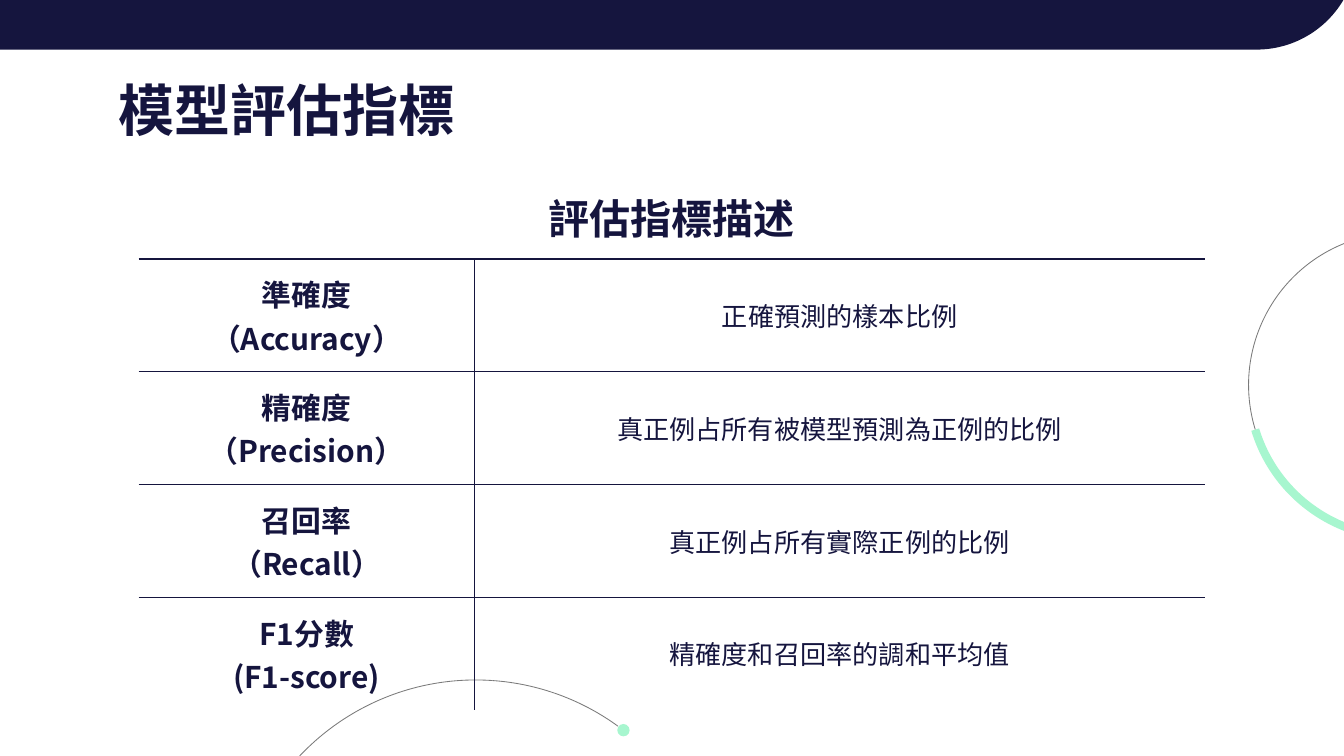
from math import cos, radians, sin, tan

from pptx import Presentation
from pptx.dml.color import RGBColor
from pptx.enum import shapes, text
from pptx.oxml import ns, xmlchemy
from pptx.util import Pt

# Content
TITLE = "模型評估指標"
HEAD = "評估指標描述"
ROWS = [
    (["準確度", "（Accuracy）"], "正確預測的樣本比例"),
    (["精確度", "（Precision）"], "真正例占所有被模型預測為正例的比例"),
    (["召回率", "（Recall）"], "真正例占所有實際正例的比例"),
    (["F1分數", "(F1-score)"], "精確度和召回率的調和平均值"),
]

# Style, lengths in points
FONT = "Noto Sans CJK SC"
NAVY = RGBColor(0x15, 0x15, 0x3E)
MINT = RGBColor(0xA7, 0xF6, 0xCF)
GRAY = RGBColor(0x7A, 0x7A, 0x7A)
WIDE, HIGH = 720, 405
COLS = [180, 391.4]
HEAD_H, ROW_H = 45.9, 60.4
LOOP = (254.9, 493.9, 129.6)  # centre x, centre y, radius
RING = (750.6, 206.3, 81.7)


def write(frame, lines, size, bold=False, align=text.PP_ALIGN.CENTER):
    for i, line in enumerate(lines):
        para = frame.paragraphs[0] if i == 0 else frame.add_paragraph()
        para.alignment = align
        run = para.add_run()
        run.text = line
        font = run.font
        font.name, font.size, font.bold = FONT, Pt(size), bold
        font.color.rgb = NAVY
        east = xmlchemy.OxmlElement("a:ea")
        east.set("typeface", FONT)
        run._r.rPr.find(ns.qn("a:latin")).addnext(east)


def arc(x, y, r, start, end, parts=1):
    """Start point, then Bezier curves; angles run clockwise from the right."""
    turn = radians(end - start) / parts
    pull = 4 / 3 * tan(turn / 4)

    def spot(angle, lean):
        return (x + r * (cos(angle) - lean * sin(angle)),
                y + r * (sin(angle) + lean * cos(angle)))

    steps = [[spot(radians(start), 0)]]
    for i in range(parts):
        a = radians(start) + i * turn
        b = a + turn
        steps.append([spot(a, pull), spot(b, -pull), spot(b, 0)])
    return steps


def paint(shape, fill=None, line=None):
    shape.shadow.inherit = False
    if fill is None:
        shape.fill.background()
    else:
        shape.fill.solid()
        shape.fill.fore_color.rgb = fill
    if line is None:
        shape.line.fill.background()
    else:
        shape.line.color.rgb = line
        shape.line.width = Pt(0.44)


def draw(steps, fill=None, line=None):
    """A step of one point is a straight line, one of three points a curve."""
    dots = [(Pt(x), Pt(y)) for step in steps for x, y in step]
    form = slide.shapes.build_freeform(*dots[0])
    form.add_line_segments(dots[1:], close=fill is not None)
    shape = form.convert_to_shape()
    legs = iter(list(shape._element.iter(ns.qn("a:lnTo"))))
    for step in steps[1:]:
        group = [next(legs) for _ in step]
        if len(group) == 3:
            curve = xmlchemy.OxmlElement("a:cubicBezTo")
            group[0].addprevious(curve)
            for leg in group:
                curve.append(leg[0])
                leg.getparent().remove(leg)
    paint(shape, fill, line)


def rule(cell, sides):
    """Draw the named sides of a cell and clear the others."""
    props = cell._tc.get_or_add_tcPr()
    for side in "LRTB":
        edge = xmlchemy.OxmlElement(f"a:ln{side}")
        edge.set("w", str(Pt(0.75)))
        if side in sides:
            fill = xmlchemy.OxmlElement("a:solidFill")
            tint = xmlchemy.OxmlElement("a:srgbClr")
            tint.set("val", str(NAVY))
            fill.append(tint)
        else:
            fill = xmlchemy.OxmlElement("a:noFill")
        edge.append(fill)
        props.append(edge)
    cell.fill.background()


deck = Presentation()
deck.slide_width, deck.slide_height = Pt(WIDE), Pt(HIGH)
slide = deck.slides.add_slide(deck.slide_layouts[6])

# Loop in two pieces with a dot at its end
draw(arc(*LOOP, 274, 306), line=GRAY)
draw(arc(*LOOP, 35, 274, parts=3), line=GRAY)
x, y, r = 334, 391.2, 3.3
dot = slide.shapes.add_shape(
    shapes.MSO_SHAPE.OVAL, Pt(x - r), Pt(y - r), Pt(2 * r), Pt(2 * r))
paint(dot, MINT)

# Ring with a thick lower part
x, y, r = RING
draw(arc(x, y, r, 163, 433, parts=3), line=GRAY)
draw(arc(x, y, r + 2.2, 163, 73) + arc(x, y, r - 2.2, 73, 163), MINT)

# Top band with a rounded corner
draw([[(0, 0)], [(0, 26.6)]] + arc(673.2, -27.4, 54, 90, 30.5) + [[(WIDE, 0)]], NAVY)

# Title
box = slide.shapes.add_textbox(Pt(56.2), Pt(33.1), Pt(607.7), Pt(45.4))
frame = box.text_frame
frame.word_wrap = True
frame.vertical_anchor = text.MSO_ANCHOR.MIDDLE
frame.margin_left = frame.margin_right = Pt(7.2)
frame.margin_top, frame.margin_bottom = Pt(7.2), Pt(1.8)
write(frame, [TITLE], 30, bold=True, align=text.PP_ALIGN.LEFT)

# Table
last = len(ROWS)
grid = slide.shapes.add_table(
    last + 1, 2, Pt(74.2), Pt(92.9), Pt(sum(COLS)), Pt(HEAD_H + last * ROW_H)).table
grid.first_row = grid.horz_banding = False
for col, width in zip(grid.columns, COLS):
    col.width = Pt(width)
for i, row in enumerate(grid.rows):
    row.height = Pt(ROW_H if i else HEAD_H)
    for j, cell in enumerate(row.cells):
        sides = ("T" if i else "") + ("B" if i < last else "")
        rule(cell, sides + ("RL"[j] if i else ""))
        cell.vertical_anchor = text.MSO_ANCHOR.MIDDLE
        cell.margin_top = cell.margin_bottom = Pt(7.2)
        cell.margin_left = cell.margin_right = Pt(10.1 if i and j else 7.2)
grid.cell(0, 0).merge(grid.cell(0, 1))
write(grid.cell(0, 0).text_frame, [HEAD], 22, bold=True)
for i, (name, note) in enumerate(ROWS, 1):
    write(grid.cell(i, 0).text_frame, name, 16, bold=True)
    write(grid.cell(i, 1).text_frame, [note], 14)

deck.save("out.pptx")
